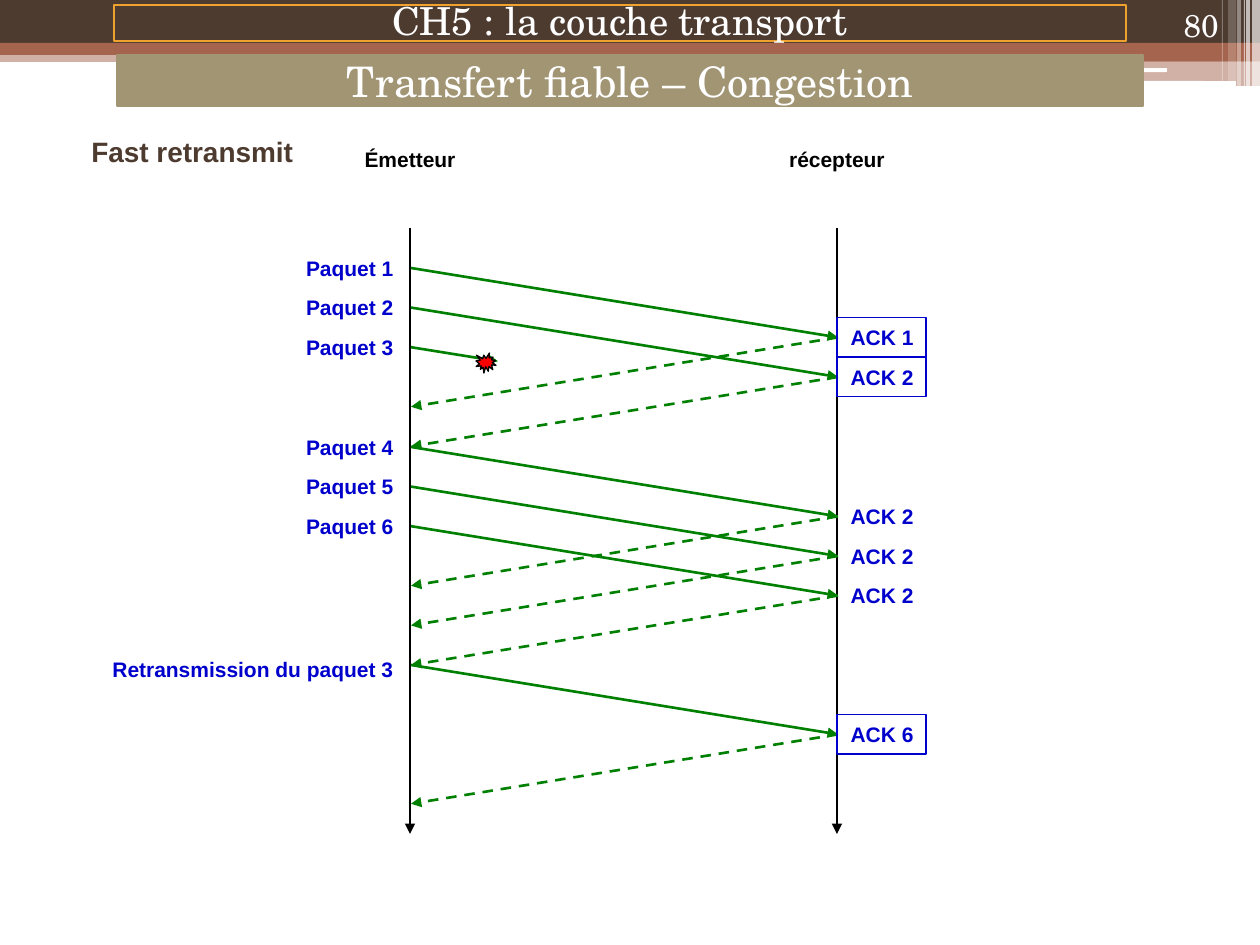
from lxml.etree import SubElement
from pptx import Presentation
from pptx.dml.color import RGBColor
from pptx.enum.dml import MSO_LINE
from pptx.enum.shapes import MSO_CONNECTOR, MSO_SHAPE
from pptx.enum.text import MSO_ANCHOR as ANCHOR, MSO_AUTO_SIZE, PP_ALIGN as ALIGN
from pptx.oxml.ns import qn
from pptx.util import Pt

PX = 914400 / 126
WHITE = RGBColor(0xFF, 0xFF, 0xFF)
BLACK = RGBColor(0, 0, 0)
BROWN = RGBColor(0x4E, 0x3B, 0x30)
RUST = RGBColor(0xA5, 0x64, 0x4E)
OLIVE = RGBColor(0xA1, 0x95, 0x74)
ORANGE = RGBColor(0xF0, 0xA2, 0x2E)
GREEN = RGBColor(0, 0x80, 0)
BLUE = RGBColor(0, 0, 0xCC)
RED = RGBColor(0xFF, 0, 0)
SERIF, SANS = "TeX Gyre Schola", "Arial"

CHAPTER = "CH5 : la couche transport"
TITLE = "Transfert fiable – Congestion"
TOPIC = "Fast retransmit"
PAGE_NUMBER = "80"

BANDS = [
    ((0, 50, 1260, 12), RUST, 50),
    ((0, 0, 1260, 43), BROWN, 100),
    ((0, 43, 1260, 12), RUST, 100),
    ((746, 49, 514, 12), RUST, 100),
    ((746, 61, 514, 25), RUST, 50),
]
BARS = [(745, 68, 422, 4), (1016, 81, 220, 5)]
STRIPS = [(1252, 8, 86, 65), (1246, 4, 86, 65), (1244, 1, 86, 60),
          (1237, 4, 86, 40), (1228, 8, 81, 20), (1222, 1, 81, 30)]

SENDER, RECEIVER = 410, 837
LIFELINES = [("Émetteur", SENDER), ("récepteur", RECEIVER)]
LIFE_TOP, LIFE_END = 228, 834
ROW, DELAY = 39.6, 69.4
BURSTS = [
    (268, [("Paquet 1", "ACK 1", True), ("Paquet 2", "ACK 2", True), ("Paquet 3", None, False)]),
    (447, [("Paquet 4", "ACK 2", False), ("Paquet 5", "ACK 2", False), ("Paquet 6", "ACK 2", False)]),
    (665, [("Retransmission du paquet 3", "ACK 6", True)]),
]
LABEL_H = 38

prs = Presentation()
prs.slide_width, prs.slide_height = round(1260 * PX), round(945 * PX)
slide = prs.slides.add_slide(prs.slide_layouts[5])


def emu(*lengths):
    return [round(length * PX) for length in lengths]


def add_block(box, fill=None, alpha=100, line=None, width=0.75, kind=MSO_SHAPE.RECTANGLE):
    block = slide.shapes.add_shape(kind, *emu(*box))
    block.shadow.inherit = False
    if fill is None:
        block.fill.background()
    else:
        block.fill.solid()
        block.fill.fore_color.rgb = fill
        if alpha < 100:
            color = block.element.spPr.find(qn("a:solidFill"))[0]
            SubElement(color, qn("a:alpha"), val=str(alpha * 1000))
    if line is None:
        block.line.fill.background()
    else:
        block.line.color.rgb = line
        block.line.width = Pt(width)
    return block


def write(holder, text, size, color, font=SANS, align=ALIGN.LEFT, anchor=ANCHOR.MIDDLE, wrap=True):
    frame = holder.text_frame
    frame.text = text
    frame.auto_size = MSO_AUTO_SIZE.NONE
    frame.word_wrap = wrap
    frame.vertical_anchor = anchor
    paragraph = frame.paragraphs[0]
    paragraph.alignment = align
    paragraph.font.size = Pt(size)
    paragraph.font.name = font
    paragraph.font.bold = font == SANS
    paragraph.font.color.rgb = color
    return paragraph


def add_text(box, text, size, color, **style):
    write(slide.shapes.add_textbox(*emu(*box)), text, size, color, **style)


def add_arrow(start, end, color, dashed=False):
    arrow = slide.shapes.add_connector(MSO_CONNECTOR.STRAIGHT, *emu(*start, *end))
    arrow.line.color.rgb = color
    arrow.line.width = Pt(1.5)
    if dashed:
        arrow.line.dash_style = MSO_LINE.DASH
    SubElement(arrow.line._get_or_add_ln(), qn("a:tailEnd"), type="triangle")
    SubElement(arrow.element.spPr, qn("a:effectLst"))


def add_exchange(packet, ack, boxed, y):
    arrival = y + DELAY
    retransmitted = ack == "ACK 6"
    width, shift = (306, 4) if retransmitted else (114, 0)
    add_text((406 - width, y - LABEL_H / 2 + shift, width, LABEL_H), packet, 12, BLUE,
             align=ALIGN.RIGHT, wrap=False)
    if ack is None:
        add_arrow((SENDER + 1, y), (498, y + 14), GREEN)
        add_block((476, 353, 20, 20), RED, line=BLACK, kind=MSO_SHAPE.EXPLOSION1)
        return
    add_arrow((SENDER + 1, y), (RECEIVER + 1, arrival), GREEN)
    add_arrow((RECEIVER + 1, arrival), (SENDER + 1, arrival + DELAY), GREEN, dashed=True)
    ack_box = add_block((RECEIVER, arrival - ROW / 2, 89, ROW), line=BLUE if boxed else None)
    write(ack_box, ack, 12, BLUE, align=ALIGN.RIGHT, wrap=False)


for box, color, alpha in BANDS:
    add_block(box, color, alpha)
for box in BARS:
    add_block(box, WHITE, kind=MSO_SHAPE.ROUNDED_RECTANGLE)
for x, width, height, alpha in STRIPS:
    add_block((x, 0, width, height), WHITE, alpha)

add_text((79, 125, 1119, 52), TOPIC, 16, BROWN)

for role, x in LIFELINES:
    add_arrow((x, LIFE_TOP), (x, LIFE_END), BLACK)
    add_text((x - 60, 140, 120, LABEL_H), role, 12, BLACK, align=ALIGN.CENTER, wrap=False)
for first_y, exchanges in BURSTS:
    for row, exchange in enumerate(exchanges):
        add_exchange(*exchange, first_y + row * ROW)

title = slide.shapes.title
title.element.getparent().append(title.element)
title.left, title.top, title.width, title.height = emu(117, 55, 1026, 51)
title.fill.solid()
title.fill.fore_color.rgb = OLIVE
title.line.color.rgb = OLIVE
title.line.width = Pt(1.5)
write(title, TITLE, 24, WHITE, font=SERIF, align=ALIGN.CENTER)

chapter = add_block((114, 5, 1012, 36), line=ORANGE, width=1.5)
write(chapter, CHAPTER, 22, WHITE, font=SERIF, align=ALIGN.CENTER).line_spacing = 0.9
add_text((1126, 0, 105, 50), PAGE_NUMBER, 18, WHITE, font=SERIF, align=ALIGN.RIGHT, anchor=ANCHOR.BOTTOM)

prs.save("out.pptx")
